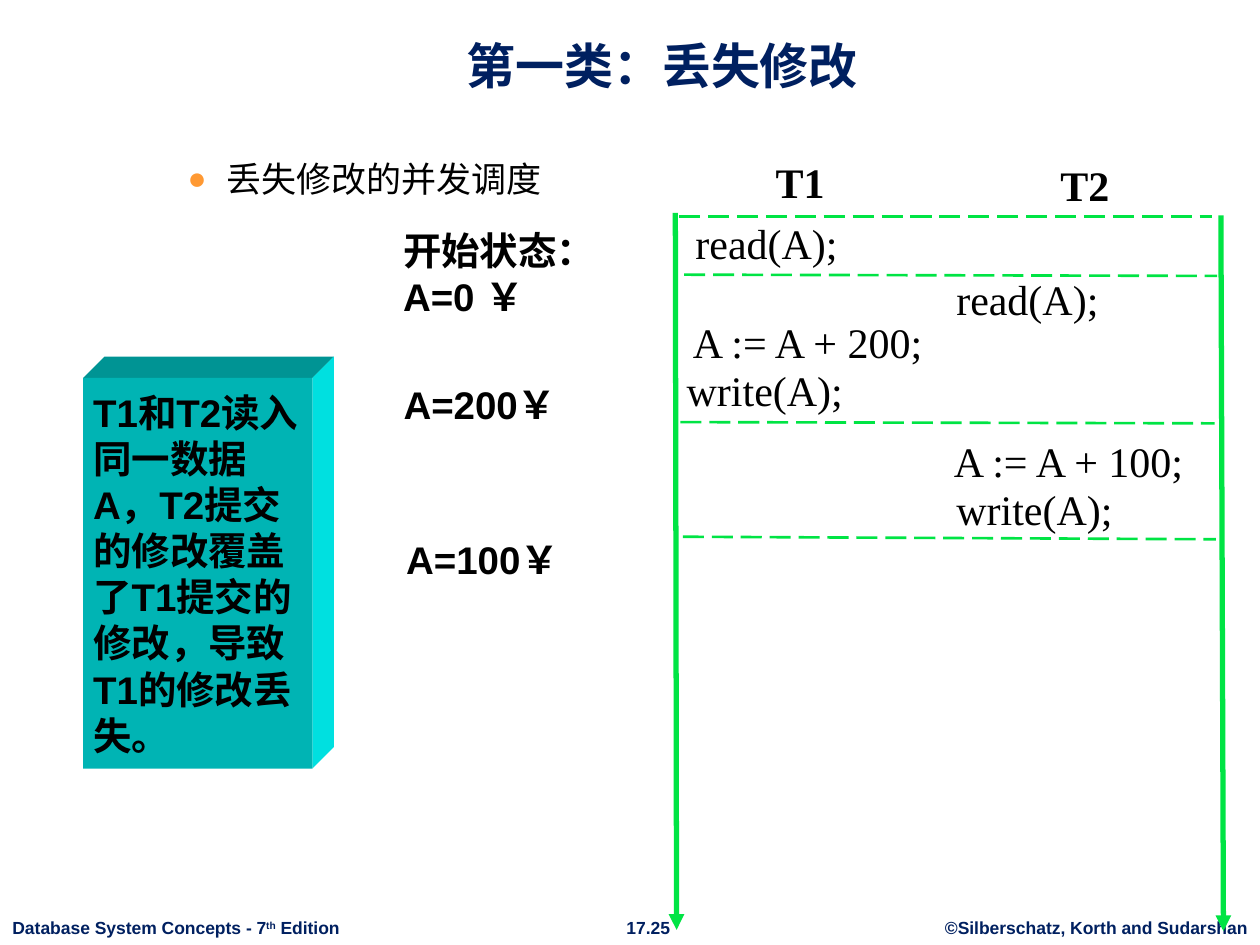
from dataclasses import dataclass

from lxml import etree
from pptx import Presentation
from pptx.dml.color import RGBColor
from pptx.enum.dml import MSO_LINE
from pptx.enum.shapes import MSO_CONNECTOR, MSO_SHAPE
from pptx.enum.text import MSO_ANCHOR, PP_ALIGN
from pptx.oxml.ns import qn
from pptx.util import Inches, Pt

LEFT, MID = PP_ALIGN.LEFT, PP_ALIGN.CENTER
CENTER, TOP, BOTTOM = MSO_ANCHOR.MIDDLE, MSO_ANCHOR.TOP, MSO_ANCHOR.BOTTOM
DASH = MSO_LINE.LONG_DASH
LINE = MSO_CONNECTOR.STRAIGHT
CALL, RECT = MSO_SHAPE.ROUNDED_RECTANGULAR_CALLOUT, MSO_SHAPE.RECTANGLE
SANS, SERIF = "Arial", "Times New Roman"
COLORS = {
    "navy": "002060", "black": "000000", "white": "FFFFFF", "green": "00E444",
    "orange": "FF9933", "front": "00B4B4", "top": "009494", "side": "00E0E0",
}


@dataclass
class Label:
    text: str
    x: float
    y: float
    w: float
    h: float
    size: int
    font: str = SANS
    color: str = "black"
    bold: bool = True
    align: PP_ALIGN = MID
    anchor: MSO_ANCHOR = CENTER
    inset: float = 0.1
    wrap: bool = True


@dataclass
class Note:
    text: str
    x: float
    y: float
    w: float
    h: float
    tip: tuple[float, float]


@dataclass
class Rule:
    x1: float
    y1: float
    x2: float
    y2: float
    arrow: bool = False


def rgb(name: str) -> RGBColor:
    return RGBColor.from_string(COLORS[name])


def paint(shape, color: str) -> None:
    shape.shadow.inherit = False
    shape.fill.solid()
    shape.fill.fore_color.rgb = rgb(color)
    shape.line.fill.background()


def style(frame, size: int, font: str, color: str, bold: bool, align: PP_ALIGN) -> None:
    for para in frame.paragraphs:
        para.alignment = align
        for run in para.runs:
            run.font.size = Pt(size)
            run.font.name = font
            run.font.bold = bold
            run.font.color.rgb = rgb(color)


def add_label(slide, item: Label):
    box = slide.shapes.add_textbox(*map(Inches, (item.x, item.y, item.w, item.h)))
    frame = box.text_frame
    frame.word_wrap = item.wrap
    frame.vertical_anchor = item.anchor
    frame.margin_left = frame.margin_right = Inches(item.inset)
    frame.text = item.text
    style(frame, item.size, item.font, item.color, item.bold, item.align)
    return frame


def add_note(slide, item: Note) -> None:
    shape = slide.shapes.add_shape(CALL, *map(Inches, (item.x, item.y, item.w, item.h)))
    paint(shape, "white")
    shape.adjustments[0], shape.adjustments[1] = item.tip
    frame = shape.text_frame
    frame.word_wrap = False
    frame.vertical_anchor = CENTER
    frame.text = item.text
    style(frame, 22, SANS, "black", True, LEFT)


def add_rule(slide, item: Rule) -> None:
    line = slide.shapes.add_connector(LINE, *map(Inches, (item.x1, item.y1, item.x2, item.y2)))
    line.line.color.rgb = rgb("green")
    line.line.width = Pt(3 if item.arrow else 1.5)
    if item.arrow:
        etree.SubElement(line.line._get_or_add_ln(), qn("a:tailEnd"), type="triangle")
    else:
        line.line.dash_style = DASH
    etree.SubElement(line._element.spPr, qn("a:effectLst"))


def add_face(slide, points: list[tuple[float, float]], color: str) -> None:
    spots = [(Inches(x), Inches(y)) for x, y in points]
    form = slide.shapes.build_freeform(*spots[0])
    form.add_line_segments(spots[1:], close=True)
    paint(form.convert_to_shape(), color)


def add_block(slide, text: str, x: float, y: float, w: float, h: float, deep: float) -> None:
    right, low = x + w, y + h
    add_face(slide, [(x, y), (x + deep, y - deep), (right + deep, y - deep), (right, y)], "top")
    add_face(slide, [(right, y), (right + deep, y - deep), (right + deep, low - deep), (right, low)], "side")
    front = slide.shapes.add_shape(RECT, *map(Inches, (x, y, w, h)))
    paint(front, "front")
    frame = front.text_frame
    frame.word_wrap = True
    frame.vertical_anchor = CENTER
    frame.margin_left = frame.margin_right = Inches(0.08)
    frame.margin_top = frame.margin_bottom = Inches(0.08)
    frame.text = text
    style(frame, 22, SANS, "black", True, LEFT)


def add_bullet(frame) -> None:
    props = frame.paragraphs[0]._p.get_or_add_pPr()
    props.set("marL", str(Inches(0.81)))
    props.set("indent", str(Inches(-0.31)))
    color = etree.SubElement(props, qn("a:buClr"))
    etree.SubElement(color, qn("a:srgbClr"), val=COLORS["orange"])
    etree.SubElement(props, qn("a:buSzPct"), val="90000")
    etree.SubElement(props, qn("a:buFont"), typeface=SANS)
    etree.SubElement(props, qn("a:buChar"), char="●")


def add_foot(slide, text: str, x: float, w: float, align: PP_ALIGN = MID):
    return add_label(slide, Label(text, x, 7.23, w, 0.27, 10, color="navy", align=align, wrap=False))


def add_step(slide, text: str, x: float, mid: float) -> None:
    add_label(slide, Label(text, x, mid - 0.25, 2.1, 0.5, 24, SERIF, bold=False, align=LEFT, inset=0))


NOTES = [
    Note("开始状态：\nA=0 ￥", 3.06, 1.74, 1.54, 0.85, (0.98, -0.54)),
    Note("A=200￥", 3.07, 2.85, 1.44, 0.72, (1.09, 0.2)),
    Note("A=100￥", 3.09, 4.08, 1.48, 0.72, (1.02, -0.27)),
]
STEPS = [
    ("read(A);", 5.52, 1.93),
    ("read(A);", 7.59, 2.37),
    ("A := A + 200;", 5.5, 2.71),
    ("write(A);", 5.45, 3.09),
    ("A := A + 100;", 7.57, 3.66),
    ("write(A);", 7.59, 4.04),
]
RULES = [
    Rule(5.39, 1.72, 9.62, 1.72),
    Rule(5.43, 2.18, 9.66, 2.19),
    Rule(5.4, 3.35, 9.64, 3.36),
    Rule(5.42, 4.26, 9.65, 4.28),
    Rule(5.36, 1.69, 5.37, 7.38, True),
    Rule(9.69, 1.71, 9.71, 7.39, True),
]


def main() -> None:
    deck = Presentation()
    deck.slide_width, deck.slide_height = Inches(10), Inches(7.5)
    slide = deck.slides.add_slide(deck.slide_layouts[6])

    add_foot(slide, "©Silberschatz, Korth and Sudarshan", 7.4, 2.6)
    add_foot(slide, "17.25", 4.86, 0.57)
    foot = add_foot(slide, "Database System Concepts - 7", 0, 2.81, LEFT)
    for text in ("th", " Edition"):
        foot.paragraphs[0].add_run().text = text
    style(foot, 10, SANS, "navy", True, LEFT)
    foot.paragraphs[0].runs[1]._r.get_or_add_rPr().set("baseline", "30000")

    add_label(slide, Label("第一类：丢失修改", 0.84, 0.13, 8.83, 0.67, 28, color="navy", anchor=BOTTOM))
    add_bullet(add_label(slide, Label(
        "丢失修改的并发调度", 0.89, 1.2, 4, 0.5, 20, bold=False, align=LEFT, anchor=TOP)))
    for note in NOTES:
        add_note(slide, note)
    add_block(slide, "T1和T2读入同一数据A，T2提交的修改覆盖了T1提交的修改，导致T1的修改丢失。",
              0.66, 3, 1.82, 3.1, 0.17)
    for text, x, y in (("T1", 5.81, 1.19), ("T2", 8.07, 1.22)):
        add_label(slide, Label(text, x, y, 1.08, 0.5, 24, SERIF))
    for step in STEPS:
        add_step(slide, *step)
    for rule in RULES:
        add_rule(slide, rule)
    deck.save("out.pptx")


if __name__ == "__main__":
    main()
